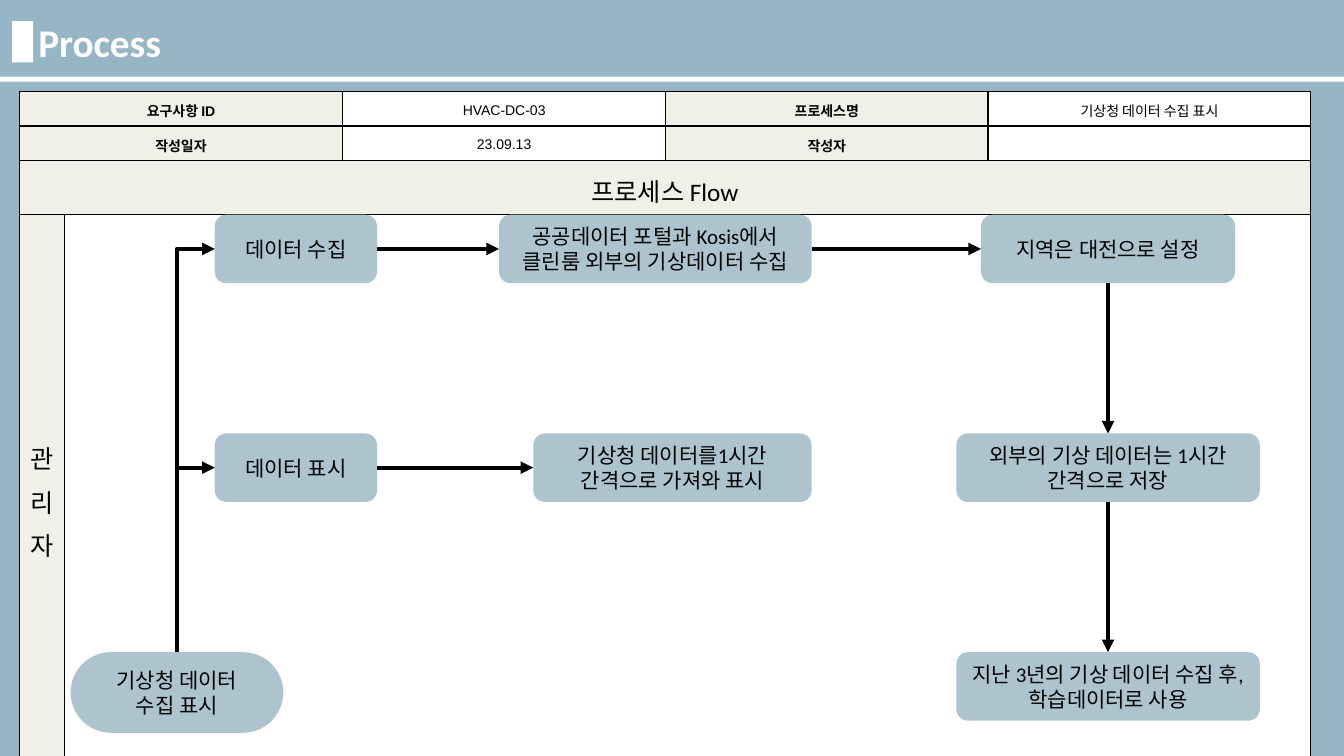
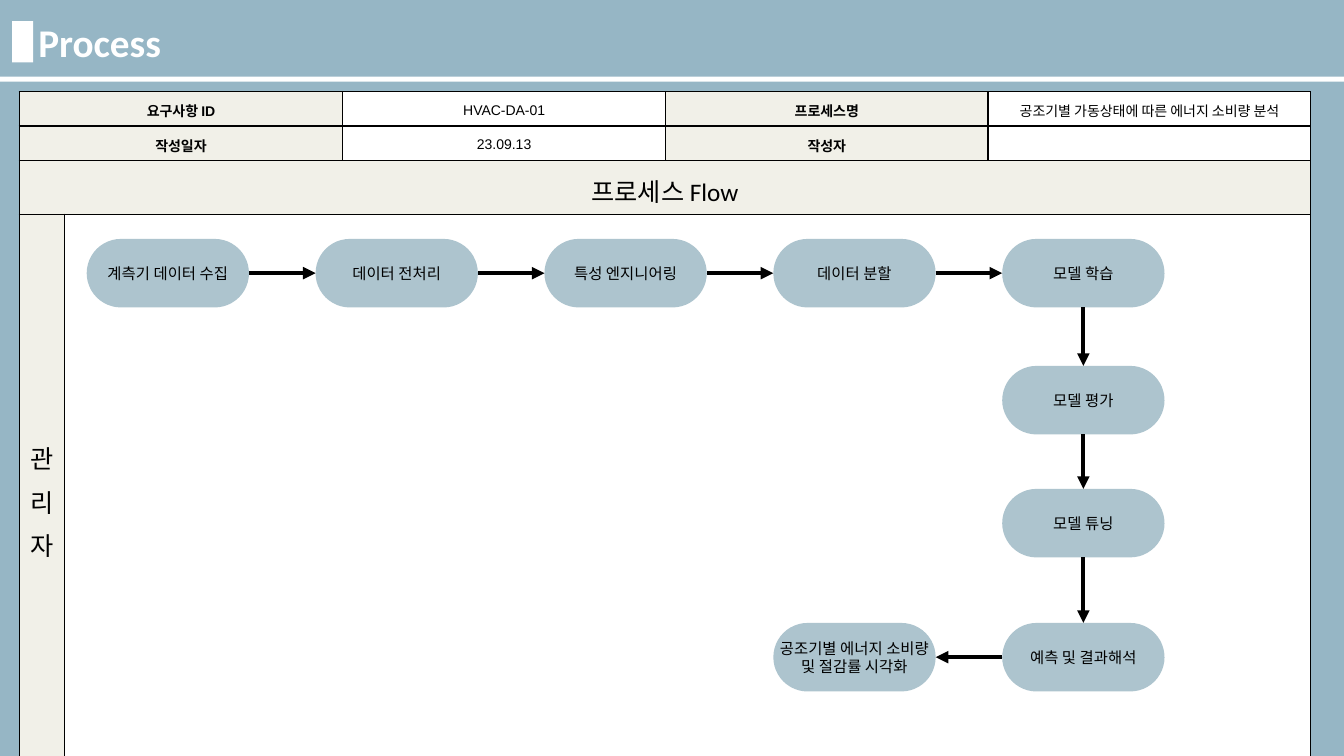
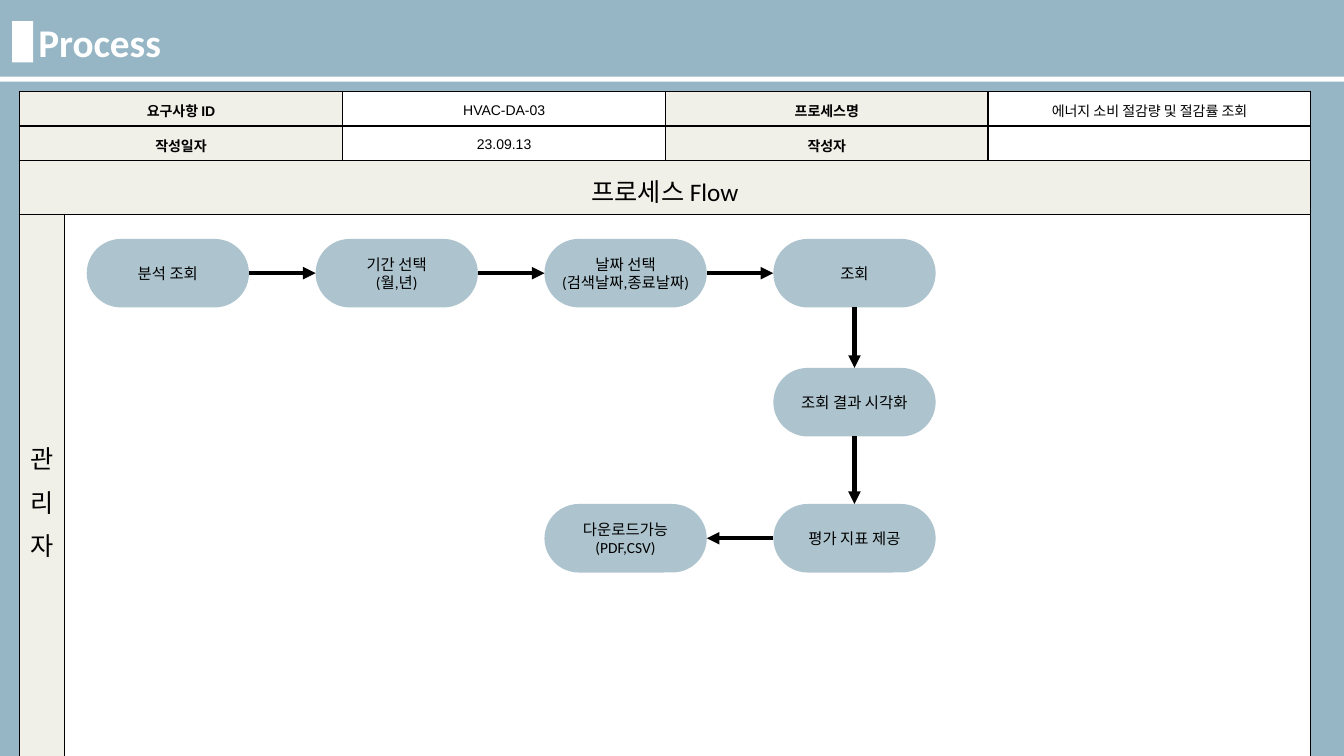
from lxml import etree
from pptx import Presentation
from pptx import util as u
from pptx.dml.color import RGBColor
from pptx.enum import shapes, text
from pptx.oxml.ns import qn

# Shared look
BACKGROUND = RGBColor(0x96, 0xB6, 0xC5)
NODE_FILL = RGBColor(0xAD, 0xC4, 0xCE)
LABEL_FILL = RGBColor(0xF1, 0xF0, 0xE8)
WHITE = RGBColor(0xFF, 0xFF, 0xFF)
BLACK = RGBColor(0, 0, 0)

SLIDE_WIDTH, SLIDE_HEIGHT = 13.33, 7.5
TITLE = {"name": "Calibri", "size": u.Pt(28), "bold": True}
LABEL = {"name": "Arial", "size": u.Pt(10), "bold": True}
VALUE = {**LABEL, "bold": False}
HEADING = {"name": "Calibri", "size": u.Pt(18), "bold": False}

# Form table
TABLE_LEFT, TABLE_TOP = 0.19, 0.91
TABLE_COLUMNS = [0.45, 2.76, 3.2, 3.2, 3.2]
TABLE_ROWS = [0.3, 0.3, 0.46, 5.62]

# Flow grid
NODE_WIDTH, NODE_HEIGHT = 1.61, 0.68
FLOW_LEFT, FLOW_PITCH = 0.86, 2.27
PILL, ROUNDED = 0.5, 0.17
TOP, LEFT, BOTTOM, RIGHT = range(4)  # connection sites of a node


def write(frame, content, formats, color=BLACK, align=text.PP_ALIGN.CENTER, spacing=None):
    frame.text = content
    for paragraph in frame.paragraphs:
        paragraph.alignment = align
        paragraph.line_spacing = spacing
        for run in paragraph.runs:
            run.font.color.rgb = color
            for name, value in formats.items():
                setattr(run.font, name, value)
        if not paragraph.runs:
            end = etree.SubElement(paragraph._p, qn("a:endParaRPr"))
            end.set("sz", str(int(formats["size"].pt * 100)))


def add_block(slide, kind, left, top, width, height, color):
    shape = slide.shapes.add_shape(kind, *map(u.Inches, (left, top, width, height)))
    shape.shadow.inherit = False
    shape.fill.solid()
    shape.fill.fore_color.rgb = color
    shape.line.fill.background()
    return shape


def add_node(slide, content, left, top, width=NODE_WIDTH, height=NODE_HEIGHT,
             size=11, corner=PILL):
    kind = shapes.MSO_SHAPE.ROUNDED_RECTANGLE
    shape = add_block(slide, kind, left, top, width, height, NODE_FILL)
    shape.adjustments[0] = corner
    shape.text_frame.word_wrap = False
    shape.text_frame.vertical_anchor = text.MSO_ANCHOR.MIDDLE
    write(shape.text_frame, content, {"name": "Calibri", "size": u.Pt(size)})
    return shape


def add_arrow(slide, start, start_site, end, end_site, kind=shapes.MSO_CONNECTOR.STRAIGHT):
    connector = slide.shapes.add_connector(kind, 0, 0, 0, 0)
    connector.begin_connect(start, start_site)
    connector.end_connect(end, end_site)
    connector.line.color.rgb = BLACK
    connector.line.width = u.Pt(3)
    properties = connector._element.spPr
    etree.SubElement(properties.find(qn("a:ln")), qn("a:tailEnd"), type="triangle")
    etree.SubElement(properties, qn("a:effectLst"))
    return connector


def add_corner_arrow(slide, start, end):
    """Run up from the top of start, then right to the left side of end."""
    connector = add_arrow(slide, start, TOP, end, LEFT, shapes.MSO_CONNECTOR.ELBOW)
    corner_x = start.left + start.width // 2
    corner_y = end.top + end.height // 2
    across, rise = end.left - corner_x, start.top - corner_y
    # The frame is laid flat and then turned a quarter around its centre
    frame = {"left": corner_x + (across - rise) // 2, "top": corner_y + (rise - across) // 2,
             "width": rise, "height": across}
    for name, value in frame.items():
        setattr(connector, name, value)
    properties = connector._element.spPr
    properties.find(qn("a:prstGeom")).set("prst", "bentConnector2")
    for name, value in {"rot": "5400000", "flipH": "1", "flipV": "1"}.items():
        properties.find(qn("a:xfrm")).set(name, value)


def style_cell(cell, color):
    properties = cell._tc.get_or_add_tcPr()
    for side in ("lnL", "lnR", "lnT", "lnB"):
        line = etree.SubElement(properties, qn(f"a:{side}"), w=str(u.Pt(1)))
        fill = etree.SubElement(line, qn("a:solidFill"))
        etree.SubElement(fill, qn("a:srgbClr"), val=str(BLACK))
    cell.fill.solid()
    cell.fill.fore_color.rgb = color
    cell.vertical_anchor = text.MSO_ANCHOR.MIDDLE


def add_form(slide, requirement, process):
    frame = slide.shapes.add_table(
        len(TABLE_ROWS), len(TABLE_COLUMNS), u.Inches(TABLE_LEFT), u.Inches(TABLE_TOP),
        u.Inches(sum(TABLE_COLUMNS)), u.Inches(sum(TABLE_ROWS)))
    table = frame.table
    table.first_row = table.horz_banding = False
    for column, width in zip(table.columns, TABLE_COLUMNS):
        column.width = u.Inches(width)
    for row, height in zip(table.rows, TABLE_ROWS):
        row.height = u.Inches(height)

    # Row, column: text, format, fill
    cells = {
        (0, 0): ("요구사항 ID", LABEL, LABEL_FILL),
        (0, 2): (requirement, VALUE, WHITE),
        (0, 3): ("프로세스명", LABEL, LABEL_FILL),
        (0, 4): (process, VALUE, WHITE),
        (1, 0): ("작성일자", LABEL, LABEL_FILL),
        (1, 2): ("23.09.13", VALUE, WHITE),
        (1, 3): ("작성자", LABEL, LABEL_FILL),
        (1, 4): ("", VALUE, WHITE),
        (2, 0): ("프로세스 Flow", HEADING, LABEL_FILL),
        (3, 0): ("관리자", HEADING, LABEL_FILL),
    }
    for row in range(len(TABLE_ROWS)):
        for column in range(len(TABLE_COLUMNS)):
            content, formats, color = cells.get((row, column), ("", VALUE, WHITE))
            cell = table.cell(row, column)
            style_cell(cell, color)
            write(cell.text_frame, content, formats, spacing=1.2)
    for row, first, last in ((0, 0, 1), (1, 0, 1), (2, 0, 4), (3, 1, 4)):
        table.cell(row, first).merge(table.cell(row, last))


def add_process_slide(presentation, requirement, process):
    slide = presentation.slides.add_slide(presentation.slide_layouts[5])
    slide.background.fill.solid()
    slide.background.fill.fore_color.rgb = BACKGROUND
    add_form(slide, requirement, process)

    # Title with its marker and rule
    title = slide.shapes.title
    place = {"left": 0.28, "top": 0.13, "width": 11.97, "height": 0.57}
    for name, value in place.items():
        setattr(title, name, u.Inches(value))
    write(title.text_frame, "Process", TITLE, WHITE, text.PP_ALIGN.LEFT)
    title.text_frame.vertical_anchor = text.MSO_ANCHOR.TOP
    title.text_frame.auto_size = text.MSO_AUTO_SIZE.NONE
    rectangle = shapes.MSO_SHAPE.RECTANGLE
    add_block(slide, rectangle, 0.12, 0.21, 0.21, 0.41, WHITE)
    add_block(slide, rectangle, 0, 0.76, SLIDE_WIDTH, 0.05, WHITE)
    return slide


def add_collection_flow(slide):
    rows = [2.13 + 2.17 * row for row in range(3)]
    middle_right, right_center = 8.05, 10.99

    def step(content, left, row, width):
        return add_node(slide, content, left, rows[row], width, size=15, corner=ROUNDED)

    start = add_node(slide, "기상청 데이터\n수집 표시", 0.7, rows[2], 2.11, 0.8, size=15)
    collect = step("데이터 수집", 2.13, 0, NODE_WIDTH)
    display = step("데이터 표시", 2.13, 1, NODE_WIDTH)
    portal = step("공공데이터 포털과 Kosis에서\n클린룸 외부의 기상데이터 수집",
                  middle_right - 3.1, 0, 3.1)
    hourly = step("기상청 데이터를1시간\n간격으로 가져와 표시", middle_right - 2.76, 1, 2.76)
    region = step("지역은 대전으로 설정", right_center - 2.52 / 2, 0, 2.52)
    store, training = (
        step(content, right_center - 3.01 / 2, row, 3.01)
        for row, content in enumerate(("외부의 기상 데이터는 1시간\n간격으로 저장",
                                       "지난 3년의 기상 데이터 수집 후,\n학습데이터로 사용"), 1))

    for target in (collect, display):
        add_corner_arrow(slide, start, target)
    for source, target in ((collect, portal), (portal, region), (display, hourly)):
        add_arrow(slide, source, RIGHT, target, LEFT)
    for source, target in ((region, store), (store, training)):
        add_arrow(slide, source, BOTTOM, target, TOP)


def add_turning_flow(slide, across, down, last, tops):
    """Run across the first row, down its last column, and one step back left."""
    columns = [FLOW_LEFT + FLOW_PITCH * column for column in range(len(across))]
    row = [add_node(slide, content, left, tops[0]) for content, left in zip(across, columns)]
    column = row[-1:] + [add_node(slide, content, columns[-1], top)
                         for content, top in zip(down, tops[1:])]
    final = add_node(slide, last, columns[-2], tops[-1])
    for source, target in zip(row, row[1:]):
        add_arrow(slide, source, RIGHT, target, LEFT)
    for source, target in zip(column, column[1:]):
        add_arrow(slide, source, BOTTOM, target, TOP)
    add_arrow(slide, column[-1], LEFT, final, RIGHT)


def main():
    presentation = Presentation()
    presentation.slide_width = u.Inches(SLIDE_WIDTH)
    presentation.slide_height = u.Inches(SLIDE_HEIGHT)

    # Weather data collection
    slide = add_process_slide(presentation, "HVAC-DC-03", "기상청 데이터 수집 표시")
    add_collection_flow(slide)

    # Energy analysis
    slide = add_process_slide(presentation, "HVAC-DA-01",
                              "공조기별 가동상태에 따른 에너지 소비량 분석")
    add_turning_flow(
        slide,
        across=["계측기 데이터 수집", "데이터 전처리", "특성 엔지니어링", "데이터 분할", "모델 학습"],
        down=["모델 평가", "모델 튜닝", "예측 및 결과해석"],
        last="공조기별 에너지 소비량\n및 절감률 시각화",
        tops=[2.37, 3.63, 4.85, 6.18])

    # Savings lookup
    slide = add_process_slide(presentation, "HVAC-DA-03", "에너지 소비 절감량 및 절감률 조회")
    add_turning_flow(
        slide,
        across=["분석 조회", "기간 선택\n(월,년)", "날짜 선택\n(검색날짜,종료날짜)", "조회"],
        down=["조회 결과 시각화", "평가 지표 제공"],
        last="다운로드가능\n(PDF,CSV)",
        tops=[2.37, 3.65, 5])

    presentation.save("out.pptx")


if __name__ == "__main__":
    main()
